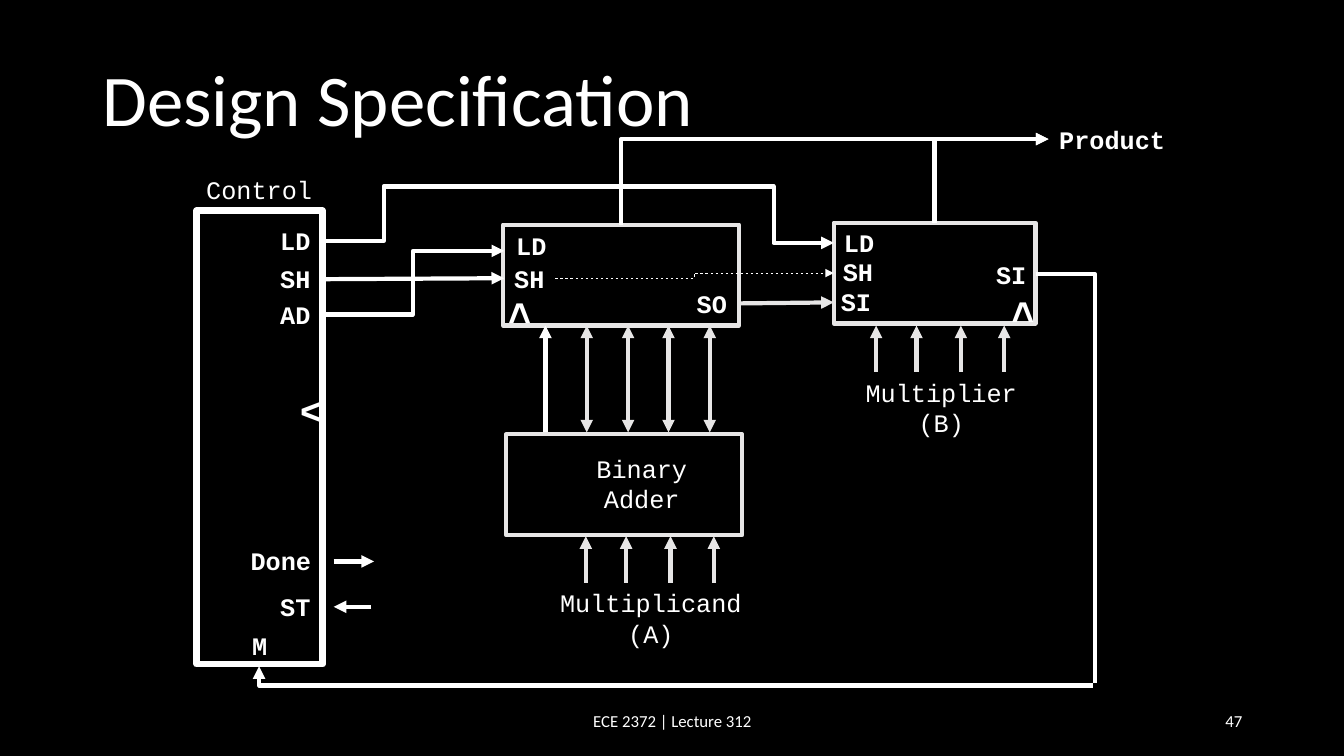
from lxml import etree
from pptx import Presentation
from pptx.dml.color import RGBColor
from pptx.enum.dml import MSO_LINE
from pptx.enum.shapes import MSO_CONNECTOR, MSO_SHAPE
from pptx.enum.text import MSO_ANCHOR, MSO_AUTO_SIZE, PP_ALIGN
from pptx.oxml.ns import qn
from pptx.util import Inches, Pt

BLACK = RGBColor(0x00, 0x00, 0x00)
WHITE = RGBColor(0xFF, 0xFF, 0xFF)
PALE = RGBColor(0xE7, 0xE6, 0xE6)
STRAIGHT, ELBOW = MSO_CONNECTOR.STRAIGHT, MSO_CONNECTOR.ELBOW
RECTANGLE, DASH = MSO_SHAPE.RECTANGLE, MSO_LINE.DASH
MIDDLE, FIT = MSO_ANCHOR.MIDDLE, MSO_AUTO_SIZE.SHAPE_TO_FIT_TEXT
LEFT, CENTER, RIGHT = PP_ALIGN.LEFT, PP_ALIGN.CENTER, PP_ALIGN.RIGHT
LEFT_SIDE = 1

# Signal name, left, top, width
SIGNALS = [
    ("LD", 2.68, 2.19, 0.5), ("SH", 2.68, 2.56, 0.5), ("AD", 2.68, 2.92, 0.5),
    ("Done", 2.38, 5.36, 0.81), ("ST", 2.68, 5.82, 0.5), ("M", 2.4, 6.2, 0.35),
    ("LD", 5.02, 2.24, 0.5), ("SO", 6.81, 2.81, 0.5),
    ("LD", 8.27, 2.21, 0.5), ("SH", 8.26, 2.49, 0.5),
    ("SI", 8.24, 2.79, 0.5), ("SI", 9.78, 2.52, 0.5),
    ("Product", 10.4, 1.18, 1.26),
]
# Caption lines, left, top, width, height
CAPTIONS = [
    (["Control"], 1.94, 1.68, 1.26, 0.4),
    (["Multiplier", "(B)"], 8.48, 3.69, 1.71, 0.71),
    (["Multiplicand", "(A)"], 5.45, 5.78, 2.01, 0.71),
    (["Binary", "Adder"], 5.81, 4.45, 1.11, 0.71),
]
# Clock mark left, top, rotation
CLOCKS = [(9.9, 2.82, 270), (4.91, 2.83, 270), (2.87, 3.83, 180)]


def add_frame_text(page, text, left, top, width, height, size, align):
    """Add wrapped Calibri text, centred vertically in its box."""
    box = page.shapes.add_textbox(Inches(left), Inches(top), Inches(width), Inches(height))
    frame = box.text_frame
    frame.word_wrap = True
    frame.vertical_anchor = MIDDLE
    para = frame.paragraphs[0]
    para.text = text
    para.alignment = align
    set_font(para, "Calibri", size)
    return para


def set_font(para, name, size, bold=False):
    para.font.name = name
    para.font.size = Pt(size)
    para.font.bold = bold
    para.font.color.rgb = WHITE


def add_label(page, lines, left, top, width, height=0.4, size=18, bold=True):
    box = page.shapes.add_textbox(Inches(left), Inches(top), Inches(width), Inches(height))
    frame = box.text_frame
    frame.word_wrap = False
    frame.auto_size = FIT
    frame.text = "\n".join(lines)
    for para in frame.paragraphs:
        para.alignment = CENTER
        set_font(para, "Courier New", size, bold)
    return box


def add_block(page, left, top, width, height, color=PALE, weight=3):
    block = page.shapes.add_shape(
        RECTANGLE, Inches(left), Inches(top), Inches(width), Inches(height))
    block.shadow.inherit = False
    block.fill.background()
    block.line.color.rgb = color
    block.line.width = Pt(weight)


def add_wire(page, start, end, color=WHITE, kind=STRAIGHT, ends=("tailEnd",),
             weight=3, dash=None):
    """Draw a connector; ends names where arrowheads go (headEnd is the start)."""
    wire = page.shapes.add_connector(kind, *map(Inches, start + end))
    wire.line.color.rgb = color
    wire.line.width = Pt(weight)
    if dash:
        wire.line.dash_style = dash
    properties = wire._element.spPr
    outline = properties.find(qn("a:ln"))
    for name in ends:
        etree.SubElement(outline, qn(f"a:{name}"), type="triangle")
    etree.SubElement(properties, qn("a:effectLst"))
    return wire


def add_corner(page, start, end, ends=()):
    """Draw a wire with a single bend, horizontal first."""
    wire = add_wire(page, start, end, kind=ELBOW, ends=ends)
    wire._element.spPr.find(qn("a:prstGeom")).set("prst", "bentConnector2")


def add_bus(page, columns, start_y, end_y, ends=("tailEnd",)):
    for x in columns:
        add_wire(page, (x, start_y), (x, end_y), PALE, ends=ends)


def add_blocks(page):
    add_block(page, 8.27, 2.21, 2, 1)
    add_block(page, 4.99, 2.23, 2.34, 1)
    add_block(page, 5.02, 4.31, 2.34, 1)
    add_block(page, 1.95, 2.09, 1.25, 4.5, WHITE, 4.5)


def add_labels(page):
    for name, left, top, width in SIGNALS:
        add_label(page, [name], left, top, width)
    for lines, left, top, width, height in CAPTIONS:
        add_label(page, lines, left, top, width, height, bold=False)
    for left, top, rotation in CLOCKS:
        add_label(page, [">"], left, top, 0.44, 0.57, 28).rotation = rotation


def add_wires(page):
    add_bus(page, (8.69, 9.09, 9.53, 9.96), 3.69, 3.23)
    add_bus(page, (5.82, 6.23, 6.63, 7.04), 3.23, 4.29, ("headEnd", "tailEnd"))
    add_bus(page, (5.81, 6.21, 6.65, 7.08), 5.78, 5.32)

    add_wire(page, (7.33, 3.01), (8.27, 3), PALE)
    add_wire(page, (5.41, 4.29), (5.41, 3.23))
    add_wire(page, (3.68, 6.02), (3.31, 6.02))
    add_wire(page, (3.31, 5.57), (3.71, 5.57))
    shift_input = add_label(page, ["SH"], 5, 2.56, 0.5)
    shift_wire = add_wire(page, (3.21, 2.77), (5, 2.76))
    shift_wire.end_connect(shift_input, LEFT_SIDE)

    add_wire(page, (3.19, 3.12), (5, 2.49), kind=ELBOW)
    add_wire(page, (3.19, 2.39), (4.42, 1.85), kind=ELBOW, ends=())
    load_wire = add_wire(page, (4.42, 1.85), (8.27, 2.41), kind=ELBOW)
    guides = load_wire._element.spPr.find(qn("a:prstGeom")).get_or_add_avLst()
    etree.SubElement(guides, qn("a:gd"), name="adj1", fmla="val 84500")
    add_wire(page, (5.51, 2.76), (8.27, 2.71), kind=ELBOW, weight=0.5, dash=DASH)

    add_corner(page, (10.28, 2.72), (10.86, 6.78))
    add_corner(page, (10.84, 6.8), (2.57, 6.61), ("tailEnd",))
    for register_top in ((6.16, 2.23), (9.27, 2.21)):
        add_corner(page, (10.4, 1.38), register_top, ("headEnd",))


def main():
    deck = Presentation()
    deck.slide_width = Inches(13.33)
    deck.slide_height = Inches(7.5)
    page = deck.slides.add_slide(deck.slide_layouts[6])
    page.background.fill.solid()
    page.background.fill.fore_color.rgb = BLACK

    title = add_frame_text(page, "Design Specification", 0.92, 0.2, 11.5, 1.65, 52, LEFT)
    title.line_spacing = 0.9
    for text, left, width, align in (("ECE 2372 | Lecture 312", 4.42, 4.5, CENTER),
                                     ("47", 9.42, 3, RIGHT)):
        footer = add_frame_text(page, text, left, 6.95, width, 0.4, 12, align)
        footer.space_after = Pt(6)

    add_blocks(page)
    add_labels(page)
    add_wires(page)
    deck.save("out.pptx")


if __name__ == "__main__":
    main()
